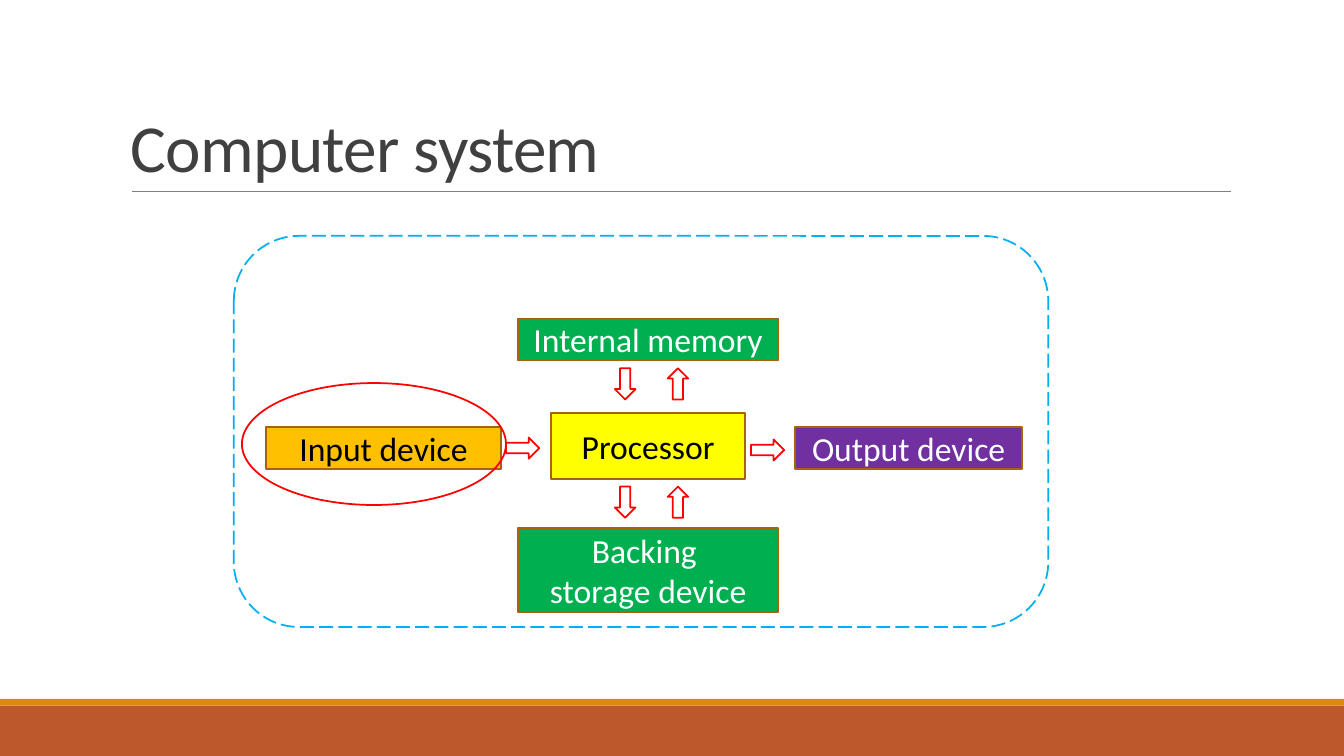
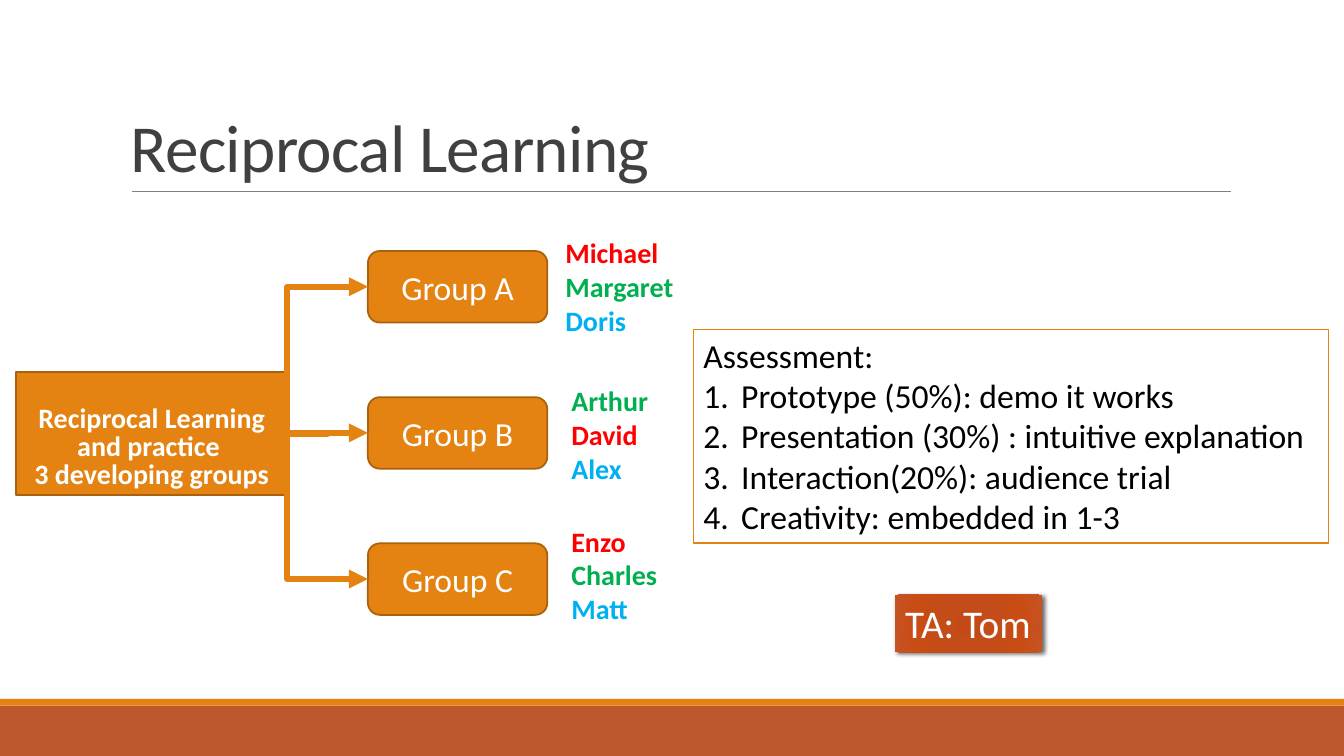
import lxml.etree
import pptx
import pptx.dml.color
import pptx.enum.dml
import pptx.enum.shapes
import pptx.enum.text
import pptx.oxml.ns
import pptx.util

Kind = pptx.enum.shapes.MSO_SHAPE
Link = pptx.enum.shapes.MSO_CONNECTOR
Dash = pptx.enum.dml.MSO_LINE
Side = pptx.enum.text.PP_ALIGN
Hold = pptx.enum.text.MSO_ANCHOR
Pt = pptx.util.Pt

COLS, ROWS = 80, 45
HUES = {
    "white": "FFFFFF", "black": "000000", "ink": "404040", "rule": "808080",
    "rust": "BD582C", "orange": "E48312", "edge": "A9610D", "amber": "FFC000",
    "green": "00B050", "purple": "7030A0", "yellow": "FFFF00",
    "red": "FF0000", "sky": "00B0F0",
}


def hue(name):
    return pptx.dml.color.RGBColor.from_string(HUES[name])


def add(node, tag, **attrs):
    """Append a drawing element such as a:tailEnd to an XML node."""
    return lxml.etree.SubElement(node, pptx.oxml.ns.qn(tag), attrs)


class Deck:
    """Holds the style and the current slide; lengths are grid columns and rows."""

    font = "Calibri"

    def __init__(self):
        self.show = pptx.Presentation()
        self.show.slide_width = pptx.util.Inches(13.33)
        self.show.slide_height = pptx.util.Inches(7.5)
        self.slide = None

    def span(self, x, y):
        return (round(self.show.slide_width * x / COLS),
                round(self.show.slide_height * y / ROWS))

    def page(self, title):
        """Start a slide with its bands, rule and title."""
        self.slide = self.show.slides.add_slide(self.show.slide_layouts[6])
        self.box(0, 42, COLS, 3, "rust", None)
        self.box(0, 41.6, COLS, 0.4, "orange", None)
        self.line((7.86, 11.4), (73.26, 11.4), "rule", 0.5)
        head = self.note(7.2, 1.86, 66, 9.54, title, 48, "ink", hold=Hold.BOTTOM)
        para = head.text_frame.paragraphs[0]
        para.line_spacing = 0.85
        para.runs[0].font._element.set("spc", "-50")

    def box(self, x, y, wide, high, fill, edge="edge", kind=Kind.RECTANGLE):
        shape = self.slide.shapes.add_shape(
            kind, *self.span(x, y), *self.span(wide, high))
        shape.shadow.inherit = False
        if fill:
            shape.fill.solid()
            shape.fill.fore_color.rgb = hue(fill)
        else:
            shape.fill.background()
        if edge:
            shape.line.color.rgb = hue(edge)
            shape.line.width = Pt(1.25)
        else:
            shape.line.fill.background()
        return shape

    def note(self, x, y, wide, high, text, size, *tints, hold=Hold.TOP, bold=False):
        shape = self.slide.shapes.add_textbox(
            *self.span(x, y), *self.span(wide, high))
        self.label(shape, text, size, *tints, side=Side.LEFT, hold=hold, bold=bold)
        return shape

    def label(self, shape, text, size, *tints, side=Side.CENTER,
              hold=Hold.MIDDLE, bold=False, wrap=True):
        """Fill a shape with text; the tints take turns over the paragraphs."""
        frame = shape.text_frame
        frame.text = text
        frame.word_wrap = wrap
        frame.vertical_anchor = hold
        for i, para in enumerate(frame.paragraphs):
            para.alignment = side
            for run in para.runs:
                run.font.name = self.font
                run.font.size = Pt(size)
                run.font.bold = bold
                run.font.color.rgb = hue(tints[i % len(tints)])

    def count(self, paras):
        """Number paragraphs with a hanging indent."""
        for para in paras:
            props = para._p.get_or_add_pPr()
            props.set("marL", "342900")
            props.set("indent", "-342900")
            add(props, "a:buFont", typeface="+mj-lt")
            add(props, "a:buAutoNum", type="arabicPeriod")

    def line(self, start, end, tint, width, kind=Link.STRAIGHT):
        link = self.slide.shapes.add_connector(
            kind, *self.span(*start), *self.span(*end))
        link.line.color.rgb = hue(tint)
        link.line.width = Pt(width)
        add(link.element.spPr, "a:effectLst")
        return link

    def branch(self, source, target, bend):
        """Join two boxes by an elbow arrow that turns at a share of its width."""
        link = self.line((0, 0), (1, 1), "orange", 4.5, Link.ELBOW)
        link.begin_connect(source, 3)
        link.end_connect(target, 1)
        shape = link.element.spPr.find(pptx.oxml.ns.qn("a:prstGeom"))
        for old in list(shape):
            shape.remove(old)
        add(add(shape, "a:avLst"), "a:gd", name="adj1",
            fmla=f"val {round(bend * 100000)}")
        add(link.line._get_or_add_ln(), "a:tailEnd", type="triangle")

    def glow(self, shape, stops):
        """Give a shape a radial gradient and a soft shadow."""
        props = shape.element.spPr
        flat = props.find(pptx.oxml.ns.qn("a:noFill"))
        grad = lxml.etree.Element(pptx.oxml.ns.qn("a:gradFill"), rotWithShape="1")
        props.replace(flat, grad)
        ramp = add(grad, "a:gsLst")
        for place, tint in stops:
            stop = add(ramp, "a:gs", pos=str(place * 1000))
            add(stop, "a:srgbClr", val=tint)
        full = dict.fromkeys("ltrb", "100000")
        add(add(grad, "a:path", path="circle"), "a:fillToRect", **full)
        cast = add(props.find(pptx.oxml.ns.qn("a:effectLst")), "a:outerShdw",
                   blurRad=str(Pt(3.5)), dist=str(Pt(2)), dir="2700000",
                   algn="br", rotWithShape="0")
        add(add(cast, "a:srgbClr", val=HUES["black"]), "a:alpha", val="60000")


def system(deck):
    deck.page("Computer system")
    parts = [
        (30.84, 18.96, 15.48, 2.5, "green", "white", "Internal memory"),
        (15.84, 25.44, 13.98, 2.5, "amber", "black", "Input device"),
        (47.34, 25.44, 13.5, 2.5, "purple", "white", "Output device"),
        (30.84, 31.44, 15.48, 5, "green", "white", "Backing \nstorage device"),
        (32.82, 24.6, 11.52, 3.9, "yellow", "black", "Processor"),
    ]
    for x, y, wide, high, fill, tint, text in parts:
        deck.label(deck.box(x, y, wide, high, fill), text, 24, tint)
    for x, y in ((30.12, 26.04), (44.7, 26.16)):
        deck.box(x, y, 1.98, 1.26, None, "red", Kind.RIGHT_ARROW)
    for y in (21.92, 28.96):
        for x, kind in ((36.6, Kind.DOWN_ARROW), (39.74, Kind.UP_ARROW)):
            deck.box(x, y, 1.23, 1.86, None, "red", kind)
    frame = deck.box(13.92, 14.04, 48.48, 23.28, None, "sky", Kind.ROUNDED_RECTANGLE)
    frame.line.dash_style = Dash.LONG_DASH
    deck.box(14.4, 22.8, 15.72, 7.26, None, "red", Kind.OVAL)


def learning(deck):
    deck.page("Reciprocal Learning")
    root = deck.box(0.96, 22.14, 16.14, 7.32, "orange")
    deck.label(root, "Reciprocal Learning and practice \n3 developing groups",
               20, "white", hold=Hold.BOTTOM, bold=True)
    for para in root.text_frame.paragraphs:
        para.line_spacing = Pt(20)

    teams = [
        ("A", 0, 33.06, 13.74, "Michael\nMargaret\nDoris", ("red", "green", "sky")),
        ("B", 0.5, 33.42, 22.56, "Arthur\nDavid\nAlex", ("green", "red", "sky")),
        ("C", 0, 33.42, 30.9, "Enzo\nCharles\nMatt", ("red", "green", "sky")),
    ]
    for i, (mark, bend, x, y, names, tints) in enumerate(teams):
        group = deck.box(21.9, 14.94 + 8.7 * i, 10.68, 4.26, "orange",
                         kind=Kind.ROUNDED_RECTANGLE)
        deck.label(group, f"Group {mark}", 24, "white")
        deck.branch(root, group, bend)
        deck.note(x, y, 9.2, 6.66, names, 20, *tints, bold=True)

    card = deck.box(41.28, 19.62, 37.8, 12.72, "white", "orange")
    tasks = ["Assessment:", "Prototype (50%): demo it works",
             "Presentation (30%) : intuitive explanation",
             "Interaction(20%): audience trial", "Creativity: embedded in 1-3"]
    deck.label(card, "\n".join(tasks), 24, "black", side=Side.LEFT, hold=Hold.TOP)
    deck.count(card.text_frame.paragraphs[1:])

    badge = deck.box(53.28, 35.4, 8.76, 3.42, None, None)
    deck.glow(badge, [(0, "C44A15"), (34, "C34C18"), (70, "C94C15"), (100, "C45525")])
    deck.label(badge, "TA: Tom", 28, "white", side=Side.LEFT, hold=Hold.TOP, wrap=False)


def main():
    deck = Deck()
    system(deck)
    learning(deck)
    deck.show.save("out.pptx")


if __name__ == "__main__":
    main()
